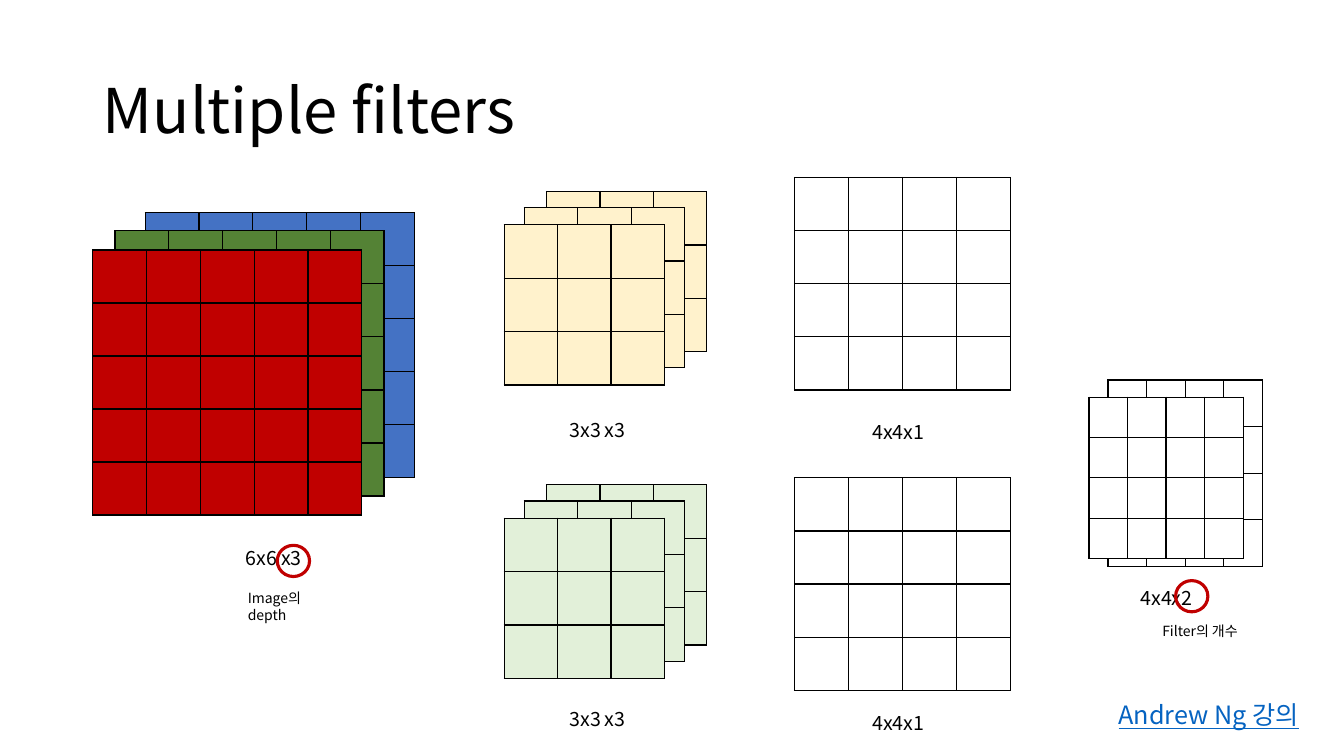
from lxml import etree
from pptx import Presentation
from pptx.dml.color import RGBColor
from pptx.enum.shapes import MSO_SHAPE
from pptx.enum.text import MSO_ANCHOR, PP_ALIGN
from pptx.oxml.ns import qn
from pptx.util import Inches, Pt

LEFT, CENTER, RIGHT = PP_ALIGN.LEFT, PP_ALIGN.CENTER, PP_ALIGN.RIGHT
MIDDLE = MSO_ANCHOR.MIDDLE
OVAL = MSO_SHAPE.OVAL
FONT = "Noto Sans CJK KR"
TITLE_ONLY = 5
CELL = 0.53
COLORS = {
    "black": "000000", "white": "FFFFFF", "red": "C00000",
    "green": "548235", "blue": "4472C4", "cream": "FFF2CC",
    "mint": "E2F0D9", "link": "0563C1",
}


def rgb(name):
    """Return a palette colour."""
    return RGBColor.from_string(COLORS[name])


def add_run(p, text, size, color="black", underline=None):
    """Add one run in the slide font, for Latin and Korean letters."""
    r = p.add_run()
    r.text = text
    r.font.size = Pt(size)
    r.font.color.rgb = rgb(color)
    r.font.underline = underline
    r.font.name = FONT
    etree.SubElement(r._r.get_or_add_rPr(), qn("a:ea"), typeface=FONT)


def add_label(s, box, text, size=14, align=LEFT, color="black", underline=None):
    """Add a one-paragraph text box."""
    tf = s.shapes.add_textbox(*map(Inches, box)).text_frame
    tf.word_wrap = True
    p = tf.paragraphs[0]
    p.alignment = align
    add_run(p, text, size, color, underline)


def add_ring(s, x, y):
    """Add the red ring that marks a depth figure."""
    sp = s.shapes.add_shape(OVAL, Inches(x), Inches(y), Inches(0.32), Inches(0.31))
    sp.shadow.inherit = False
    sp.fill.background()
    sp.line.color.rgb = rgb("red")
    sp.line.width = Pt(2.25)


def style_cell(cell, color):
    """Give an empty cell black 1 pt borders and a plain fill."""
    cell.margin_left = cell.margin_right = cell.margin_top = cell.margin_bottom = 0
    tc_pr = cell._tc.get_or_add_tcPr()
    for side in ("lnL", "lnR", "lnT", "lnB"):
        ln = etree.SubElement(tc_pr, qn("a:" + side), w=str(Pt(1)))
        fill = etree.SubElement(ln, qn("a:solidFill"))
        etree.SubElement(fill, qn("a:srgbClr"), val=COLORS["black"])
    cell.fill.solid()
    cell.fill.fore_color.rgb = rgb(color)


def add_grid(s, box, n, color):
    """Add an n by n table that fills the box."""
    x, y, w, h = box
    table = s.shapes.add_table(n, n, *map(Inches, box)).table
    for col in table.columns:
        col.width = Inches(w / n)
    for row in table.rows:
        row.height = Inches(h / n)
    for cell in table.iter_cells():
        style_cell(cell, color)


def add_image(s, x, y):
    """Add the three colour channels of the input image and their caption."""
    for dx, dy, color in ((0.52, 0, "blue"), (0.22, 0.18, "green"), (0, 0.37, "red")):
        add_grid(s, (x + dx, y + dy, 2.67, 2.63), 5, color)
    add_label(s, (x + 1.42, y + 3.26, 0.6, 0.34), "6x6")
    add_label(s, (x + 1.77, y + 3.26, 0.6, 0.34), "x3")
    add_ring(s, x + 1.83, y + 3.3)
    add_label(s, (x + 1.44, y + 3.69, 1.1, 0.27), "Image의 depth", 10)


def add_filter(s, x, y, color, label_y):
    """Add a filter of three layers and its size below."""
    for dx, dy in ((0.42, 0), (0.2, 0.16), (0, 0.33)):
        add_grid(s, (x + dx, y + dy, 3 * CELL, 3 * CELL), 3, color)
    add_label(s, (x + 0.55, label_y, 0.6, 0.34), "3x3")
    add_label(s, (x + 0.9, label_y, 0.6, 0.34), "x3")


def add_feature_map(s, x, y, label_y):
    """Add the output of one filter and its size below."""
    add_grid(s, (x, y, 2.14, 2.11), 4, "white")
    add_label(s, (x + 0.62, label_y, 0.82, 0.34), "4x4x1", align=CENTER)


def add_stacked_output(s, x, y):
    """Add the two stacked feature maps and their caption."""
    add_grid(s, (x + 0.19, y, 1.53, 1.85), 4, "white")
    add_grid(s, (x, y + 0.17, 1.53, 1.6), 4, "white")
    add_label(s, (x + 0.36, y + 1.99, 0.82, 0.34), "4x4x2", align=CENTER)
    add_ring(s, x + 0.86, y + 1.99)
    add_label(s, (x + 0.63, y + 2.36, 1.2, 0.27), "Filter의 개수", 10)


def add_title(s, box, text):
    """Place and fill the title placeholder."""
    sp = s.shapes.title
    sp.left, sp.top, sp.width, sp.height = map(Inches, box)
    tf = sp.text_frame
    tf.vertical_anchor = MIDDLE
    p = tf.paragraphs[0]
    p.alignment = LEFT
    p.line_spacing = 0.9
    add_run(p, text, 44)


def main():
    """Build and save the slide."""
    prs = Presentation()
    prs.slide_width, prs.slide_height = Inches(13.33), Inches(7.5)
    s = prs.slides.add_slide(prs.slide_layouts[TITLE_ONLY])
    add_title(s, (0.92, 0.4, 11.5, 1.45), "Multiple filters")
    add_image(s, 0.92, 2.11)
    add_filter(s, 5, 1.9, "cream", 4.1)
    add_filter(s, 5, 4.81, "mint", 6.96)
    add_feature_map(s, 7.88, 1.76, 4.12)
    add_feature_map(s, 7.88, 4.74, 7)
    add_stacked_output(s, 10.8, 3.77)
    add_label(s, (6.52, 6.89, 6.46, 0.4), "Andrew Ng 강의", 18, RIGHT, "link", True)
    prs.save("out.pptx")


main()
